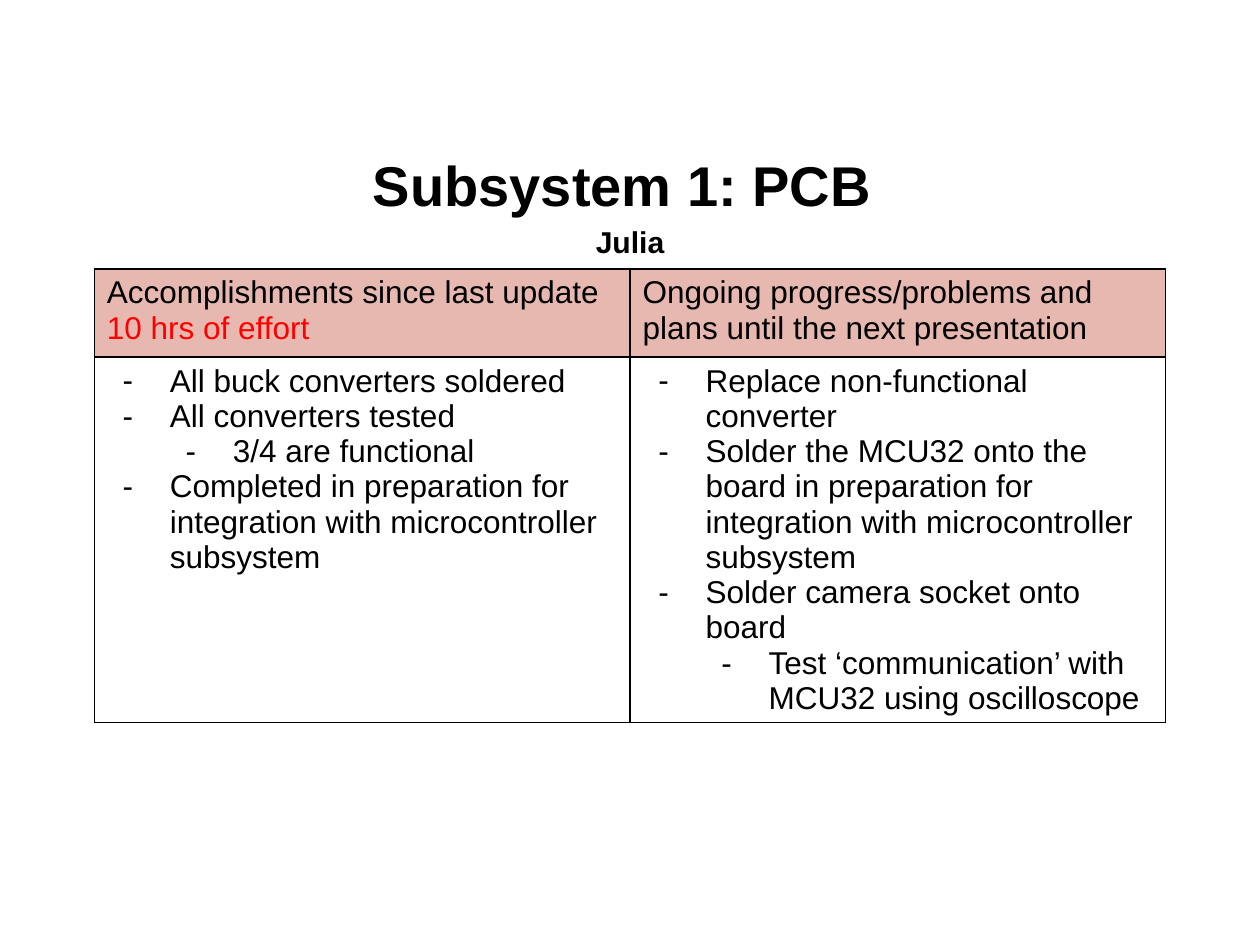
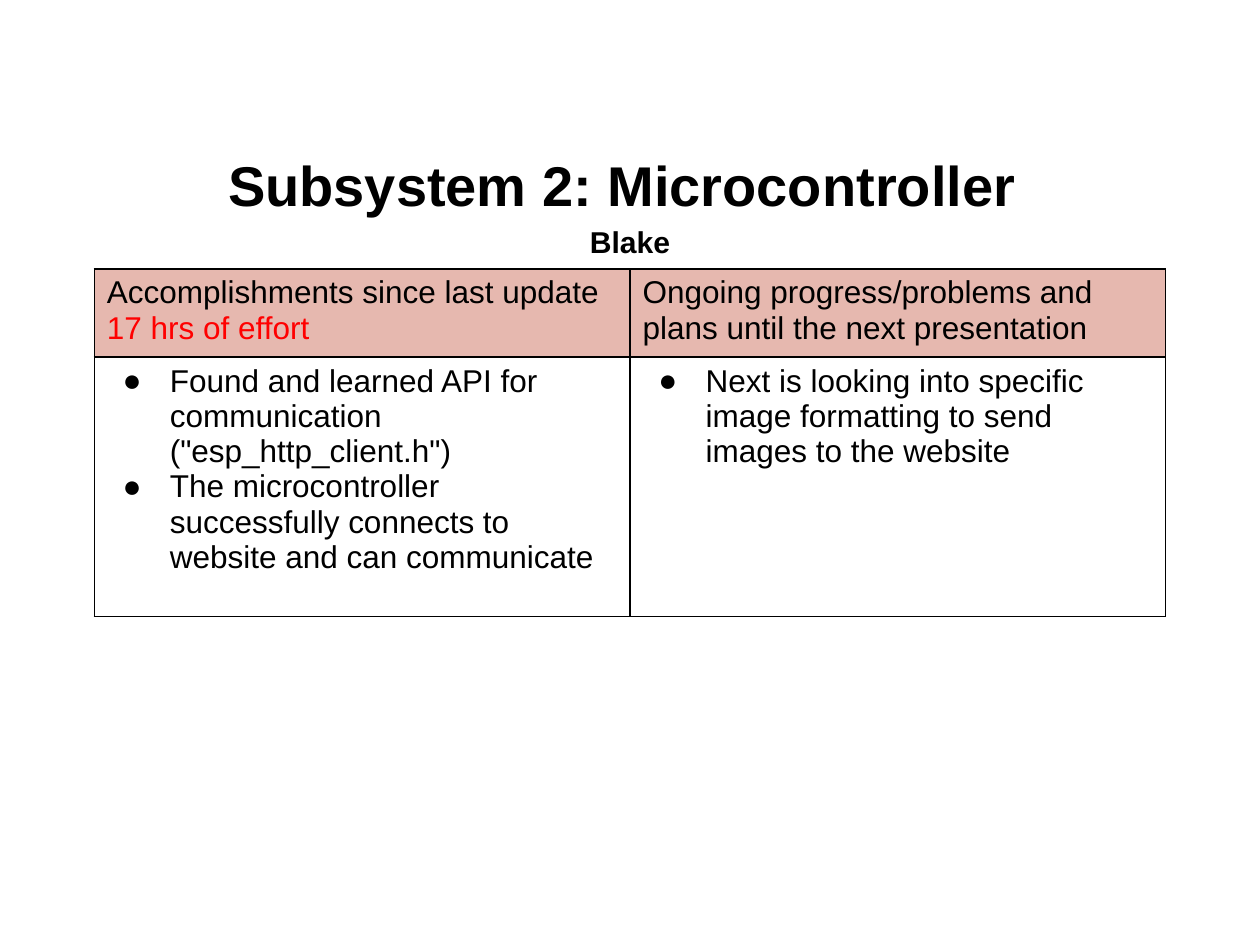
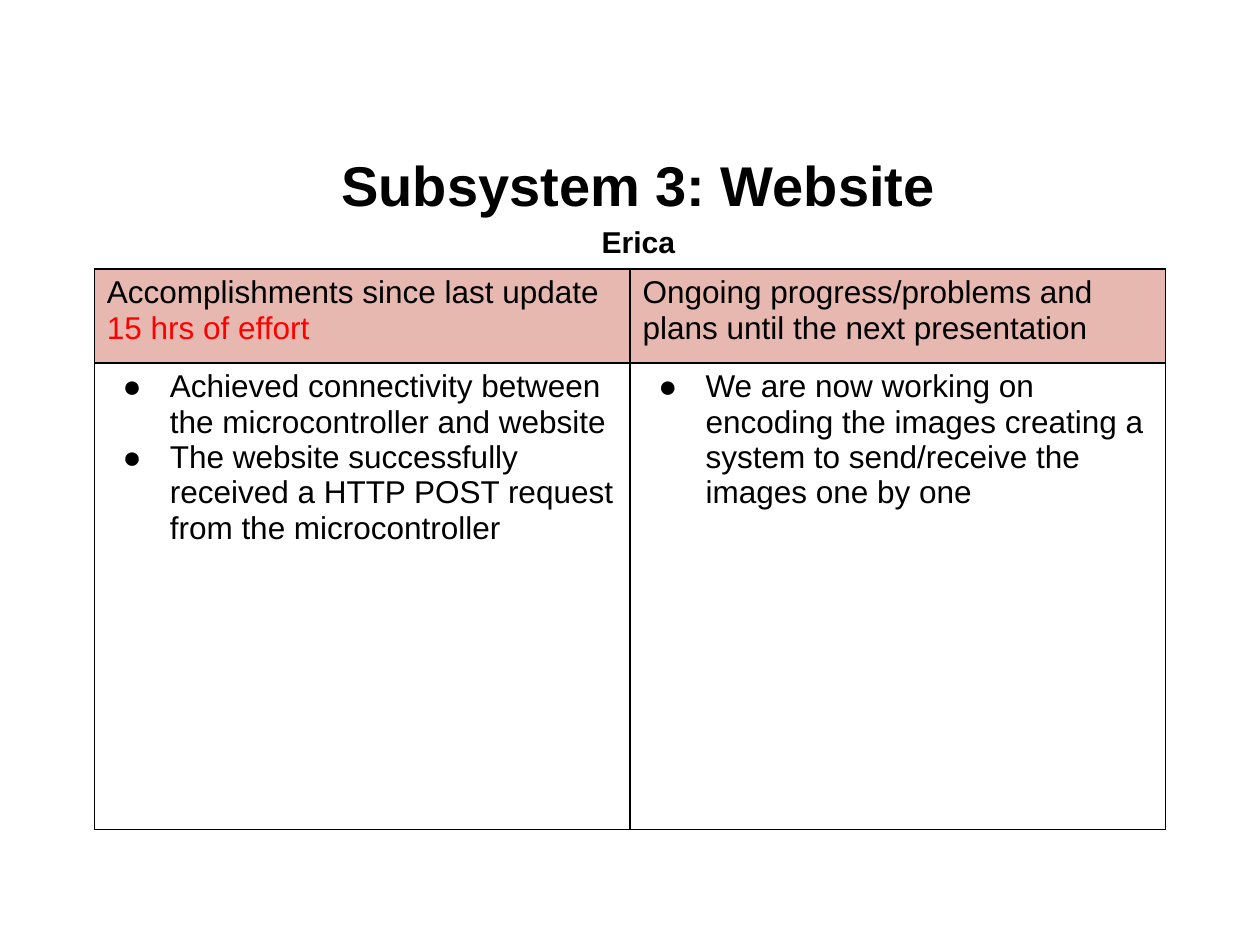
from lxml import etree
from pptx import Presentation
from pptx.dml.color import RGBColor
from pptx.enum.text import MSO_ANCHOR, MSO_AUTO_SIZE, PP_ALIGN
from pptx.oxml.ns import qn
from pptx.util import Cm, Pt

CENTER = PP_ALIGN.CENTER
MIDDLE = MSO_ANCHOR.MIDDLE
NO_FIT = MSO_AUTO_SIZE.NONE

COLORS = {"ink": "000000", "hours": "FF0000", "head": "E6B8AF"}
FONT = "Arial"
TITLE_BOX = (1.27, 2.91, 22.86, 2.24)
TABLE_BOX = (1.9, 5.42, 21.6)
INDENT, HANG = 1.27, 0.95

# Each list item is a level and its text
SLIDES = [
    {
        "title": "Subsystem 1: PCB ", "owner": "Julia", "hours": "10",
        "shift": 0, "rows": (1.78, 7.36), "mark": "-",
        "done": [
            (0, "All buck converters soldered"),
            (0, "All converters tested"),
            (1, "3/4 are functional"),
            (0, "Completed in preparation for integration with "
                "microcontroller subsystem"),
        ],
        "next": [
            (0, "Replace non-functional converter"),
            (0, "Solder the MCU32 onto the board in preparation for "
                "integration with microcontroller subsystem"),
            (0, "Solder camera socket onto board"),
            (1, "Test ‘communication’ with MCU32 using oscilloscope"),
        ],
    },
    {
        "title": "Subsystem 2: Microcontroller ", "owner": "Blake",
        "hours": "17", "shift": 0, "rows": (1.78, 5.23), "mark": "●",
        "done": [
            (0, 'Found and learned API for communication '
                '("esp_http_client.h")'),
            (0, "The microcontroller successfully connects to website "
                "and can communicate"),
        ],
        "next": [
            (0, "Next is looking into specific image formatting to send "
                "images to the website"),
        ],
    },
    {
        "title": "Subsystem 3: Website", "owner": "Erica", "hours": "15",
        "shift": 0.17, "rows": (1.9, 9.4), "mark": "●",
        "done": [
            (0, "Achieved connectivity between the microcontroller "
                "and website"),
            (0, "The website successfully received a HTTP POST request "
                "from the microcontroller"),
        ],
        "next": [
            (0, "We are now working on encoding the images creating a "
                "system to send/receive the images one by one"),
        ],
    },
]


def color(name):
    return RGBColor.from_string(COLORS[name])


def style(para, size, bold=False):
    font = para.font
    font.name, font.size, font.bold = FONT, Pt(size), bold
    font.color.rgb = color("ink")


def add_para(frame, first):
    return frame.paragraphs[0] if first else frame.add_paragraph()


def add_title(slide, box, title, owner):
    shape = slide.shapes.title
    shape.left, shape.top, shape.width, shape.height = map(Cm, box)
    frame = shape.text_frame
    frame.auto_size, frame.vertical_anchor = NO_FIT, MIDDLE
    for i, (text, size) in enumerate([(title, 32), (owner, 17.2)]):
        para = add_para(frame, i == 0)
        para.text = text
        para.alignment, para.line_spacing = CENTER, 1.15
        style(para, size, True)


def set_border(cell):
    props = cell._tc.get_or_add_tcPr()
    for side in ("lnL", "lnR", "lnT", "lnB"):
        line = etree.SubElement(props, qn(f"a:{side}"), w=str(Pt(1)))
        fill = etree.SubElement(line, qn("a:solidFill"))
        etree.SubElement(fill, qn("a:srgbClr"), val=COLORS["ink"])


def set_bullet(para, level, mark):
    props = para._p.get_or_add_pPr()
    props.set("marL", str(Cm(INDENT * (level + 1))))
    props.set("indent", str(-Cm(HANG)))
    tint = etree.Element(qn("a:buClr"))
    etree.SubElement(tint, qn("a:srgbClr"), val=COLORS["ink"])
    face = etree.Element(qn("a:buFont"), typeface=FONT)
    char = etree.Element(qn("a:buChar"), char=mark)
    for i, part in enumerate((tint, face, char)):
        props.insert(i, part)


def fill_head(cell, text, hours=None):
    cell.fill.solid()
    cell.fill.fore_color.rgb = color("head")
    para = cell.text_frame.paragraphs[0]
    style(para, 18)
    para.add_run().text = text
    if hours:
        run = para.add_run()
        run.text = f"{hours} hrs of effort"
        run.font.color.rgb = color("hours")


def fill_list(cell, items, mark):
    cell.fill.background()
    for i, (level, text) in enumerate(items):
        para = add_para(cell.text_frame, i == 0)
        para.text, para.level = text, level
        style(para, 18)
        set_bullet(para, level, mark)


def add_status(slide, box, data):
    left, top, width = box
    rows = data["rows"]
    table = slide.shapes.add_table(
        2, 2, Cm(left), Cm(top), Cm(width), Cm(sum(rows))).table
    table.first_row = table.horz_banding = False
    for row, height in zip(table.rows, rows):
        row.height = Cm(height)
    for cell in table.iter_cells():
        set_border(cell)
    # Header row
    fill_head(table.cell(0, 0), "Accomplishments since last update ",
              data["hours"])
    fill_head(table.cell(0, 1), "Ongoing progress/problems and plans "
              "until the next presentation")
    # Lists
    for col, key in enumerate(("done", "next")):
        fill_list(table.cell(1, col), data[key], data["mark"])


def add_update(deck, data):
    slide = deck.slides.add_slide(deck.slide_layouts[5])
    left, *rest = TITLE_BOX
    add_title(slide, (left + data["shift"], *rest),
              data["title"], data["owner"])
    add_status(slide, TABLE_BOX, data)


def main():
    deck = Presentation()
    deck.slide_width, deck.slide_height = Cm(25.4), Cm(19.05)
    for data in SLIDES:
        add_update(deck, data)
    deck.save("out.pptx")


if __name__ == "__main__":
    main()
